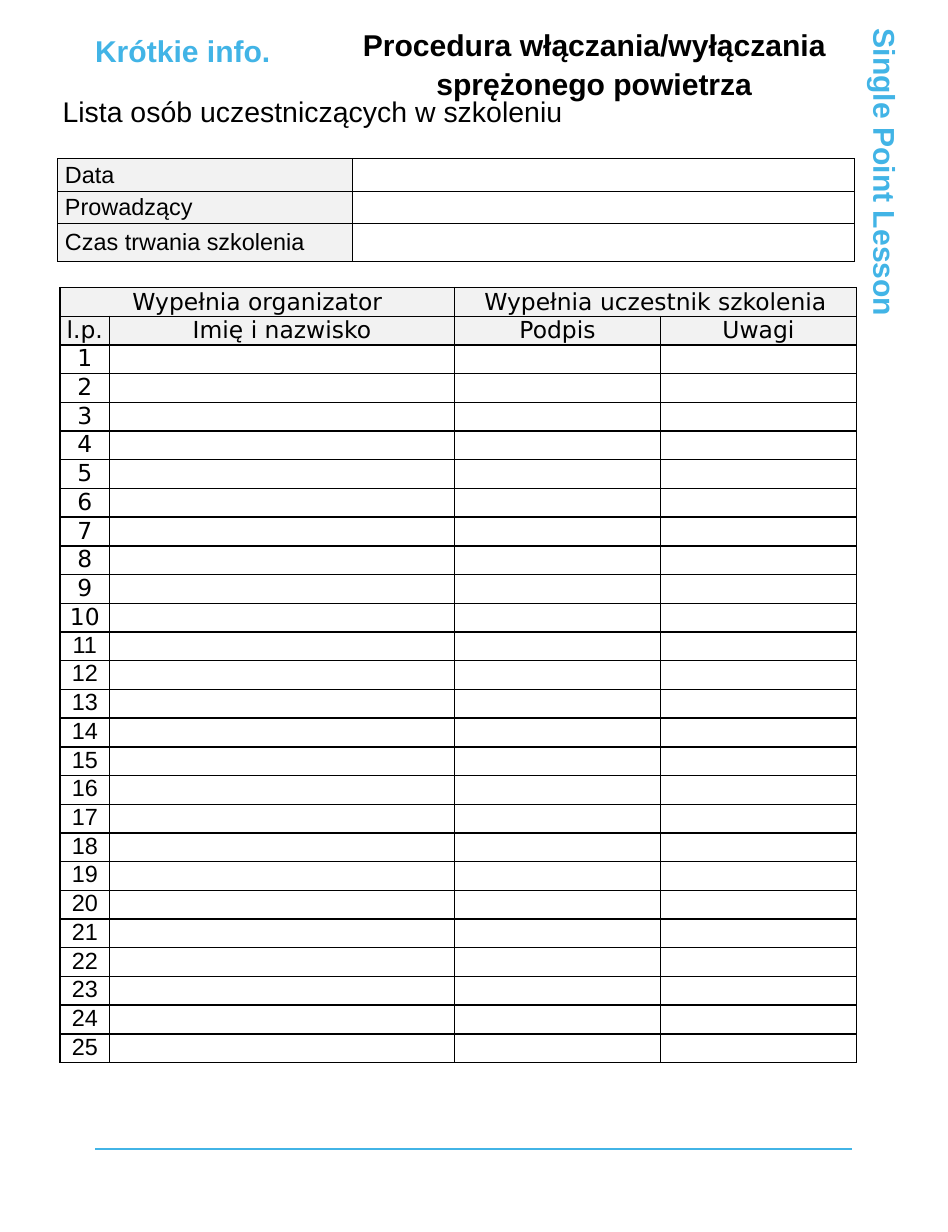
from lxml import etree
from pptx import Presentation
from pptx.dml.color import RGBColor as RGB
from pptx.enum.shapes import MSO_CONNECTOR as CONNECTOR, MSO_SHAPE as SHAPE
from pptx.enum.text import MSO_ANCHOR as ANCHOR, MSO_AUTO_SIZE as AUTO_SIZE, PP_ALIGN as ALIGN
from pptx.oxml.ns import qn
from pptx.util import Inches, Pt

COLORS = {"accent": "42B4E6", "text": "000000", "header": "F2F2F2", "paper": "FFFFFF"}
PARTICIPANTS = 25


def color(name):
    return RGB.from_string(COLORS[name])


def write(frame, text, size=18, font="Arial", tint="text", bold=False,
          align=ALIGN.LEFT, spacing=1.0):
    paragraph = frame.paragraphs[0]
    paragraph.alignment = align
    paragraph.line_spacing = spacing
    run = paragraph.add_run()
    run.text = text
    run.font.size = Pt(size)
    run.font.name = font
    run.font.bold = bold
    run.font.color.rgb = color(tint)


class LessonSheet:
    """Holds the slide and the look shared by its elements."""

    line_spacing = 1.07
    table_size = 14

    def __init__(self, slide):
        self.slide = slide

    def fill_frame(self, frame, text, **style):
        frame.margin_left = frame.margin_right = frame.margin_top = frame.margin_bottom = 0
        frame.word_wrap = True
        frame.auto_size = AUTO_SIZE.NONE
        frame.vertical_anchor = ANCHOR.TOP
        write(frame, text, spacing=self.line_spacing, **style)

    def title(self, text, left, top, width, height):
        title = self.slide.shapes.title
        title.left, title.top = Inches(left), Inches(top)
        title.width, title.height = Inches(width), Inches(height)
        self.fill_frame(title.text_frame, text, bold=True, align=ALIGN.CENTER)

    def label(self, text, left, top, width, height, **style):
        box = self.slide.shapes.add_textbox(
            Inches(left), Inches(top), Inches(width), Inches(height))
        self.fill_frame(box.text_frame, text, **style)

    def side_banner(self, text, left, top, width, height):
        banner = self.slide.shapes.add_shape(
            SHAPE.RECTANGLE, Inches(left), Inches(top), Inches(width), Inches(height))
        banner.rotation = 90
        banner.shadow.inherit = False
        banner.fill.solid()
        banner.fill.fore_color.rgb = color("paper")
        banner.line.fill.background()
        self.fill_frame(banner.text_frame, text, tint="accent", bold=True)

    def rule(self, left, right, y):
        line = self.slide.shapes.add_connector(
            CONNECTOR.STRAIGHT, Inches(left), Inches(y), Inches(right), Inches(y))
        line.line.color.rgb = color("accent")
        line.line.width = Pt(1.5)
        etree.SubElement(line._element.spPr, qn("a:effectLst"))

    def table(self, left, top, widths, heights, border, margin):
        """Add an empty bordered grid and return its table."""
        grid = self.slide.shapes.add_table(
            len(heights), len(widths), Inches(left), Inches(top),
            Inches(sum(widths)), Inches(sum(heights))).table
        grid.first_row = grid.horz_banding = False
        for column, width in zip(grid.columns, widths):
            column.width = Inches(width)
        for row, height in zip(grid.rows, heights):
            row.height = Inches(height)
        for cell in grid.iter_cells():
            cell.margin_left = cell.margin_right = Inches(margin)
            cell.margin_top = cell.margin_bottom = 0
            self.border(cell, border)
            cell.fill.background()
            # Keeps empty rows from growing to the default text size
            end = cell.text_frame.paragraphs[0]._p.get_or_add_endParaRPr()
            end.set("sz", str(self.table_size * 100))
        return grid

    def border(self, cell, width):
        properties = cell._tc.get_or_add_tcPr()
        for side in ("lnL", "lnR", "lnT", "lnB"):
            edge = etree.SubElement(properties, qn(f"a:{side}"), w=str(Pt(width)))
            fill = etree.SubElement(edge, qn("a:solidFill"))
            etree.SubElement(fill, qn("a:srgbClr"), val=COLORS["text"])

    def cell(self, cell, text, header=False, **style):
        if header:
            cell.fill.solid()
            cell.fill.fore_color.rgb = color("header")
            cell.vertical_anchor = ANCHOR.MIDDLE
        write(cell.text_frame, text, size=self.table_size, **style)


def main():
    deck = Presentation()
    deck.slide_width, deck.slide_height = Inches(7.88), Inches(10.24)
    sheet = LessonSheet(deck.slides.add_slide(deck.slide_layouts[5]))

    sheet.label("Krótkie info.", 0.79, 0.25, 2.89, 0.31, tint="accent", bold=True)
    sheet.side_banner("Single Point Lesson", 4.4, 3.07, 5.96, 0.3)
    sheet.rule(0.79, 7.08, 9.55)

    row_count = PARTICIPANTS + 2
    attendance = sheet.table(0.5, 2.39, [0.41, 2.87, 1.71, 1.63],
                             [6.45 / row_count] * row_count, border=1, margin=0.04)
    for first, heading in ((0, "Wypełnia organizator"), (2, "Wypełnia uczestnik szkolenia")):
        attendance.cell(0, first).merge(attendance.cell(0, first + 1))
        sheet.cell(attendance.cell(0, first), heading, header=True,
                   font="DejaVu Sans", align=ALIGN.CENTER)
    for column, heading in enumerate(("l.p.", "Imię i nazwisko", "Podpis", "Uwagi")):
        sheet.cell(attendance.cell(1, column), heading, header=True,
                   font="DejaVu Sans", align=ALIGN.CENTER)
    for number in range(1, PARTICIPANTS + 1):
        sheet.cell(attendance.cell(number + 1, 0), str(number), align=ALIGN.CENTER,
                   font="DejaVu Sans" if number <= 10 else "Arial")

    sheet.title("Procedura włączania/wyłączania sprężonego powietrza", 2.64, 0.2, 4.6, 0.46)

    training = sheet.table(0.48, 1.32, [2.45, 4.17], [0.27, 0.27, 0.31],
                           border=0.5, margin=0.06)
    for row, heading in enumerate(("Data", "Prowadzący", "Czas trwania szkolenia")):
        sheet.cell(training.cell(row, 0), heading, header=True)

    sheet.label("Lista osób uczestniczących w szkoleniu", 0.52, 0.76, 6.41, 0.38, size=17)
    deck.save("out.pptx")


if __name__ == "__main__":
    main()
